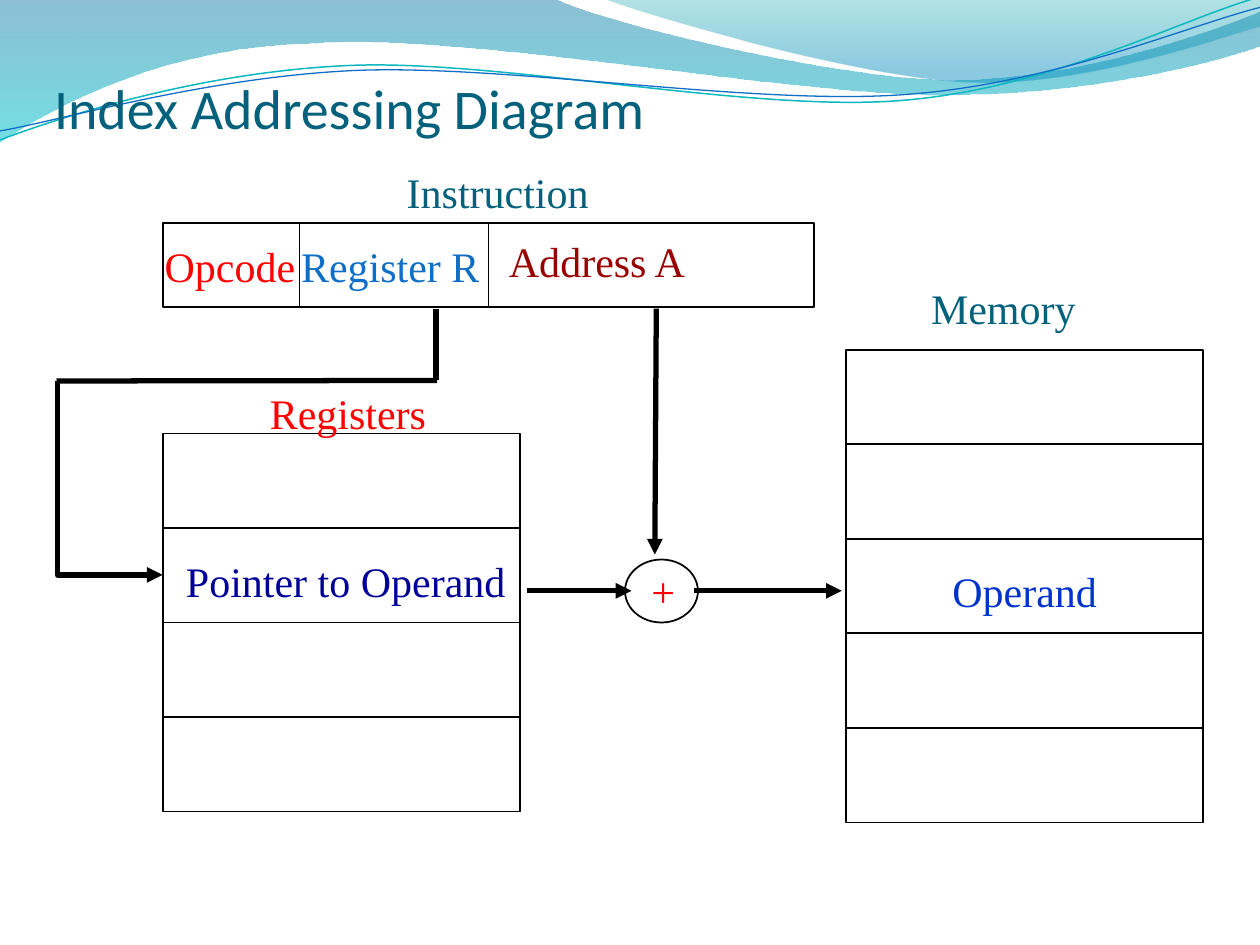
"""Build the index addressing diagram slide."""
from math import cos, radians, sin
from lxml.etree import Element, SubElement
from pptx import Presentation
from pptx.dml.color import RGBColor
from pptx.enum.shapes import MSO_CONNECTOR, MSO_SHAPE
from pptx.enum.text import MSO_ANCHOR, MSO_AUTO_SIZE
from pptx.oxml.ns import qn
from pptx.util import Cm, Pt

BLACK = RGBColor(0x00, 0x00, 0x00)
TEAL = RGBColor(0x04, 0x61, 0x7B)
BLUE = RGBColor(0x0F, 0x6F, 0xC6)
AQUA = RGBColor(0x0A, 0xB8, 0xBF)
RED = RGBColor(0xFF, 0x00, 0x00)
MAROON = RGBColor(0x99, 0x00, 0x00)
NAVY = RGBColor(0x00, 0x00, 0x99)
ROYAL = RGBColor(0x00, 0x33, 0xCC)
DEEP = RGBColor(0x00, 0x74, 0xA1)
CYAN = RGBColor(0x00, 0xC6, 0xCF)
SEA = RGBColor(0x00, 0xA1, 0xA9)
SKY = RGBColor(0x00, 0x8B, 0xBF)

TILT = 2.7
WAVES = [
    ([(0, 0), (11.18, -0.03),
      (12.09, 0.43, 16.87, 1.6, 19.25, 1.6),
      (21.67, 1.6, 24.33, 0.66, 25.4, 0.23), (25.43, 0.91),
      (24.97, 1.12, 22.1, 1.93, 18.95, 1.91),
      (15.8, 1.91, 9.7, 0.71, 6.53, 0.86),
      (3.28, 0.91, 1.17, 2.11, -0.03, 2.87), (0, 0)],
     [(0, DEEP, 45), (1, CYAN, 55)]),
    ([(12.17, -0.03),
      (12.93, 0.28, 17.32, 1.57, 19.53, 1.65),
      (21.74, 1.75, 24.41, 0.81, 25.4, 0.53), (25.4, 0), (12.17, -0.03)],
     [(0, SEA, 30), (0.8, SKY, 45)]),
]
CURVES = [
    ([(0, 2.82), (1.22, 2.36, 4.01, 1.45, 7.04, 1.32),
      (10.03, 1.19, 15.06, 2.26, 18.11, 2.03),
      (21.16, 1.8, 23.83, 0.38, 25.35, -0.05)], (12.67, 1.46), AQUA, 0.85),
    ([(0, 2.64), (1.19, 2.44, 4.17, 1.55, 7.19, 1.42),
      (10.24, 1.3, 15.16, 2.13, 18.21, 1.91),
      (21.23, 1.7, 23.9, 0.53, 25.4, 0.15)], (12.69, 1.5), BLUE, 0.75),
]
LABELS = [
    ("Register R", 5.82, 4.72, 4.34, BLUE),
    ("Opcode", 3.07, 4.72, 3.18, RED),
    ("Instruction", 7.95, 3.23, 4.55, TEAL),
    ("Memory", 18.52, 5.57, 3.61, TEAL),
    ("Operand", 18.95, 11.28, 3.76, ROYAL),
    ("Pointer to Operand", 3.5, 11.07, 7.54, NAVY),
    ("Registers", 5.19, 7.68, 3.68, RED),
    ("Address A", 10.01, 4.62, 4.29, MAROON),
    ("+", 12.88, 11.28, 0.99, RED),
]
LINES = [
    (6.04, 4.52, 6.04, 6.17, 1, False),
    (9.85, 4.52, 9.85, 6.17, 1, False),
    (8.79, 6.22, 8.79, 7.67, 3, False),
    (8.81, 7.67, 1.14, 7.68, 3, False),
    (13.23, 6.22, 13.2, 11.18, 3, True),
    (14, 11.91, 16.97, 11.91, 3, True),
    (10.62, 11.91, 12.73, 11.91, 3, True),
]


def turn(path, hub):
    """Return a path turned clockwise by the tilt around a hub."""
    c, s = cos(radians(TILT)), sin(radians(TILT))
    result = []
    for part in path:
        nodes = [(x - hub[0], y - hub[1]) for x, y in zip(part[::2], part[1::2])]
        result.append(tuple(v for x, y in nodes
                            for v in (hub[0] + x * c - y * s, hub[1] + x * s + y * c)))
    return result


def outline(slide, path, close=False):
    """Add an unfilled freeform of corners and cubic curves."""
    points = [(Cm(x), Cm(y)) for part in path
              for x, y in zip(part[::2], part[1::2])]
    pen = slide.shapes.build_freeform(*points[0])
    pen.add_line_segments(points[1:], close=close)
    shape = pen.convert_to_shape()
    steps = list(shape._element.iter(qn("a:lnTo")))
    for part in path[1:]:
        nodes = [steps.pop(0) for _ in part[::2]]
        if len(nodes) == 3:
            curve = Element(qn("a:cubicBezTo"))
            nodes[0].addprevious(curve)
            for node in nodes:
                curve.append(node[0])
                node.getparent().remove(node)
    shape.shadow.inherit = False
    shape.fill.background()
    return shape


def stroke(shape, color, width, arrow=False):
    """Style an outline, with an arrowhead at its end on request."""
    shape.line.color.rgb = color
    shape.line.width = Pt(width)
    if arrow:
        line = shape._element.spPr.find(qn("a:ln"))
        SubElement(line, qn("a:tailEnd"), type="triangle")


def wave(slide, path, stops):
    """Add a translucent band shaded from top to bottom."""
    shape = outline(slide, path, True)
    shape.line.fill.background()
    shape.fill.gradient()
    shape.fill.gradient_angle = 270
    for stop, (place, color, _) in zip(shape.fill.gradient_stops, stops):
        stop.position = place
        stop.color.rgb = color
    tones = shape._element.spPr.iter(qn("a:srgbClr"))
    for tone, (_, _, alpha) in zip(tones, stops):
        SubElement(tone, qn("a:alpha"), val=str(alpha * 1000))


def box(slide, kind, x, y, w, h):
    """Add a thin unfilled preset shape."""
    shape = slide.shapes.add_shape(kind, Cm(x), Cm(y), Cm(w), Cm(h))
    shape.shadow.inherit = False
    shape.fill.background()
    stroke(shape, BLACK, 1)


def stack(slide, x, y, h, count):
    """Split a column into equal storage cells."""
    for i in range(count):
        box(slide, MSO_SHAPE.RECTANGLE, x, y + i * h / count, 7.2, h / count)


def link(slide, x1, y1, x2, y2, width, arrow):
    """Add a straight line or arrow."""
    line = slide.shapes.add_connector(
        MSO_CONNECTOR.STRAIGHT, Cm(x1), Cm(y1), Cm(x2), Cm(y2))
    stroke(line, BLACK, width, arrow)
    SubElement(line._element.spPr, qn("a:effectLst"))


def label(slide, text, x, y, w, color, h=1.27, size=24, face="Times New Roman"):
    """Add a one-line text box and return its frame."""
    frame = slide.shapes.add_textbox(Cm(x), Cm(y), Cm(w), Cm(h)).text_frame
    frame.word_wrap = False
    frame.auto_size = MSO_AUTO_SIZE.SHAPE_TO_FIT_TEXT
    run = frame.paragraphs[0].add_run()
    run.text = text
    run.font.name = face
    run.font.size = Pt(size)
    run.font.color.rgb = color
    return frame


def title(slide, text):
    """Add the slide heading."""
    frame = label(slide, text, 0.84, 1.67, 22.86, TEAL, 1.29, 32, "Calibri")
    frame.word_wrap = True
    frame.auto_size = MSO_AUTO_SIZE.NONE
    frame.vertical_anchor = MSO_ANCHOR.BOTTOM


def main():
    """Draw the slide and save it."""
    deck = Presentation()
    deck.slide_width, deck.slide_height = Cm(25.4), Cm(19.05)
    slide = deck.slides.add_slide(deck.slide_layouts[6])
    for path, stops in WAVES:
        wave(slide, path, stops)
    for path, hub, color, width in CURVES:
        curve = outline(slide, turn(path, hub))
        curve.rotation = 360 - TILT
        stroke(curve, color, width)
    title(slide, "Index Addressing Diagram")
    box(slide, MSO_SHAPE.RECTANGLE, 3.28, 4.5, 13.13, 1.69)
    stack(slide, 17.05, 7.05, 9.53, 5)
    stack(slide, 3.28, 8.74, 7.62, 4)
    box(slide, MSO_SHAPE.OVAL, 12.6, 11.28, 1.47, 1.27)
    for item in LABELS:
        label(slide, *item)
    elbow = outline(slide, [(1.16, 7.68), (1.16, 11.59), (3.28, 11.59)])
    stroke(elbow, BLACK, 3, True)
    for item in LINES:
        link(slide, *item)
    deck.save("out.pptx")


if __name__ == "__main__":
    main()
